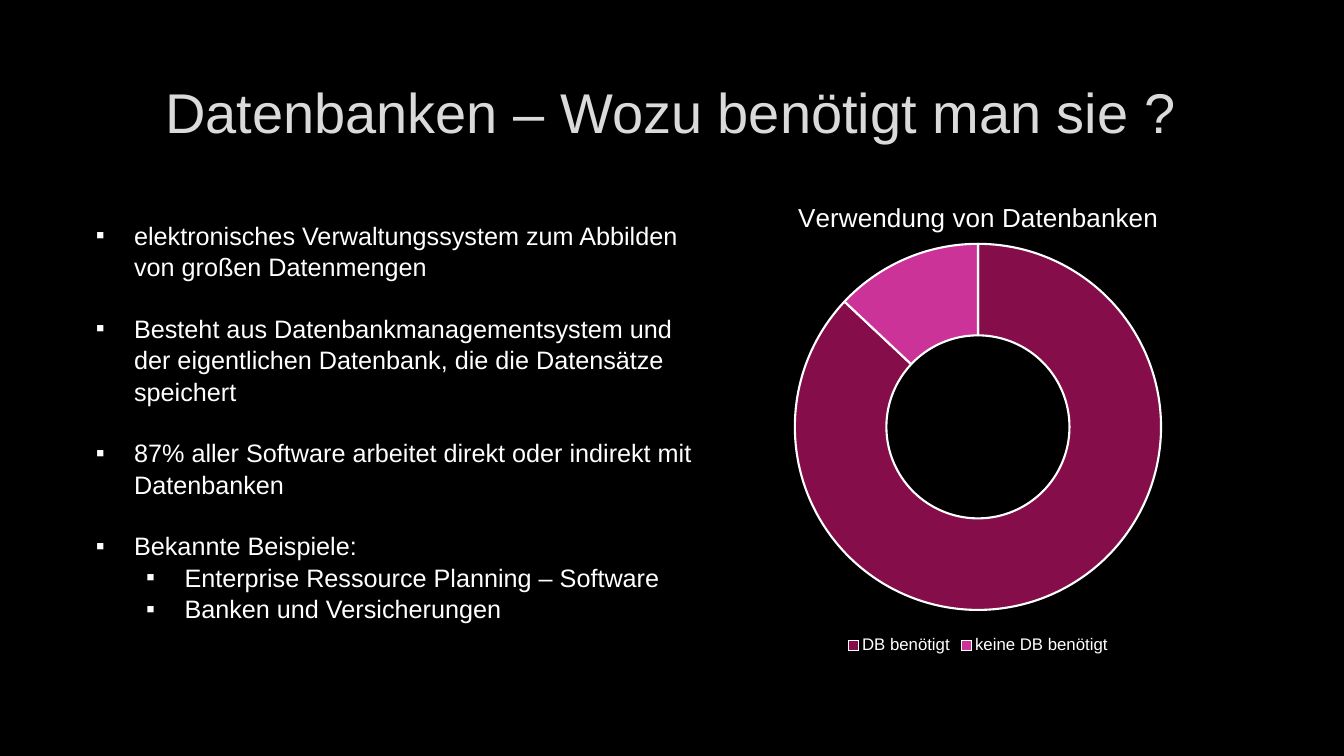
from lxml import etree
from pptx import Presentation
from pptx.chart.data import CategoryChartData
from pptx.dml.color import RGBColor
from pptx.enum.chart import XL_CHART_TYPE, XL_LEGEND_POSITION
from pptx.enum.text import MSO_ANCHOR, MSO_AUTO_SIZE, PP_ALIGN
from pptx.oxml import parse_xml
from pptx.oxml.ns import nsdecls, qn
from pptx.util import Inches, Pt

# Content
TITLE = "Datenbanken – Wozu benötigt man sie ?"
POINTS = [
    (0, "elektronisches Verwaltungssystem zum Abbilden von großen Datenmengen"),
    (0, "Besteht aus Datenbankmanagementsystem und der eigentlichen Datenbank, "
        "die die Datensätze speichert"),
    (0, "87% aller Software arbeitet direkt oder indirekt mit Datenbanken"),
    (0, "Bekannte Beispiele:"),
    (1, "Enterprise Ressource Planning – Software"),
    (1, "Banken und Versicherungen"),
]
CHART_TITLE = "Verwendung von Datenbanken"
BLACK = RGBColor(0x00, 0x00, 0x00)
WHITE = RGBColor(0xFF, 0xFF, 0xFF)
GREY = RGBColor(0xDA, 0xDA, 0xDA)
WINE = RGBColor(0x85, 0x0E, 0x4A)
PINK = RGBColor(0xCC, 0x33, 0x99)
SHARES = [("DB benötigt", 87, WINE), ("keine DB benötigt", 13, PINK)]
FONT = "Arial"
HOLE = 75
DOUGHNUT = XL_CHART_TYPE.DOUGHNUT
BOTTOM = XL_LEGEND_POSITION.BOTTOM


def style(font, size, color):
    font.name, font.size, font.bold = FONT, Pt(size), False
    font.color.rgb = color


def place(shape, *box):
    shape.left, shape.top, shape.width, shape.height = map(Inches, box)


def set_layout(node, **parts):
    """Fix the place of a chart part as fractions of the chart."""
    for old in node.findall(qn("c:layout")):
        node.remove(old)
    items = "".join(f'<c:{key} val="{val}"/>' for key, val in parts.items())
    layout = parse_xml(f'<c:layout {nsdecls("c")}><c:manualLayout>{items}'
                       '</c:manualLayout></c:layout>')
    text = node.find(qn("c:tx"))
    node.insert(0 if text is None else node.index(text) + 1, layout)


prs = Presentation()
prs.slide_width, prs.slide_height = Inches(13.33), Inches(7.5)
slide = prs.slides.add_slide(prs.slide_layouts[1])
slide.background.fill.solid()
slide.background.fill.fore_color.rgb = BLACK

# Title
title = slide.shapes.title
place(title, 0.2, 0.57, 12.89, 1.06)
title.text = TITLE
title.text_frame.vertical_anchor = MSO_ANCHOR.MIDDLE
head = title.text_frame.paragraphs[0]
head.alignment = PP_ALIGN.CENTER
style(head.font, 40, GREY)

# Bullet list
body = slide.placeholders[1]
place(body, 0.85, 2.12, 6.25, 3.74)
frame = body.text_frame
frame.word_wrap = True
frame.auto_size = MSO_AUTO_SIZE.NONE
frame.vertical_anchor = MSO_ANCHOR.TOP
for i, (level, text) in enumerate(POINTS):
    para = frame.paragraphs[0] if i == 0 else frame.add_paragraph()
    para.text = text
    para.level = level
    para.line_spacing = 1.04
    para.space_before = Pt(21.6 if i and level == 0 else 0)
    para.space_after = Pt(0)
    props = para._p.get_or_add_pPr()
    props.set("marL", str(Inches(0.38 + 0.5 * level)))
    props.set("indent", str(Inches(-0.38)))
    etree.SubElement(props, qn("a:buFont")).set("typeface", FONT)
    etree.SubElement(props, qn("a:buChar")).set("char", "▪")
    style(para.font, 18, WHITE)

# Doughnut chart
data = CategoryChartData()
data.categories = [name for name, _, _ in SHARES]
data.add_series("Series 1", [share for _, share, _ in SHARES])
box = map(Inches, (6.31, 1.75, 6.78, 4.78))
chart = slide.shapes.add_chart(DOUGHNUT, *box, data).chart
style(chart.font, 10, WHITE)

chart.has_title = True
chart.chart_title.include_in_layout = False
label = chart.chart_title.text_frame
label.text = CHART_TITLE
style(label.paragraphs[0].font, 18.6, WHITE)
set_layout(chart.chart_title._element, xMode="edge", yMode="edge",
           x=0.23, y=0.04)

chart.has_legend = True
chart.legend.position = BOTTOM
chart.legend.include_in_layout = False
style(chart.legend.font, 12, WHITE)

plot = chart.plots[0]
plot.vary_by_categories = True
plot._element.find(qn("c:holeSize")).set("val", str(HOLE))
set_layout(chart._chartSpace.chart.plotArea, layoutTarget="inner",
           xMode="edge", yMode="edge", x=0.23, y=0.14, w=0.54, h=0.76)
for i, (_, _, color) in enumerate(SHARES):
    part = plot.series[0].points[i].format
    part.fill.solid()
    part.fill.fore_color.rgb = color
    part.line.color.rgb = WHITE
    part.line.width = Pt(1.5)

prs.save("out.pptx")
